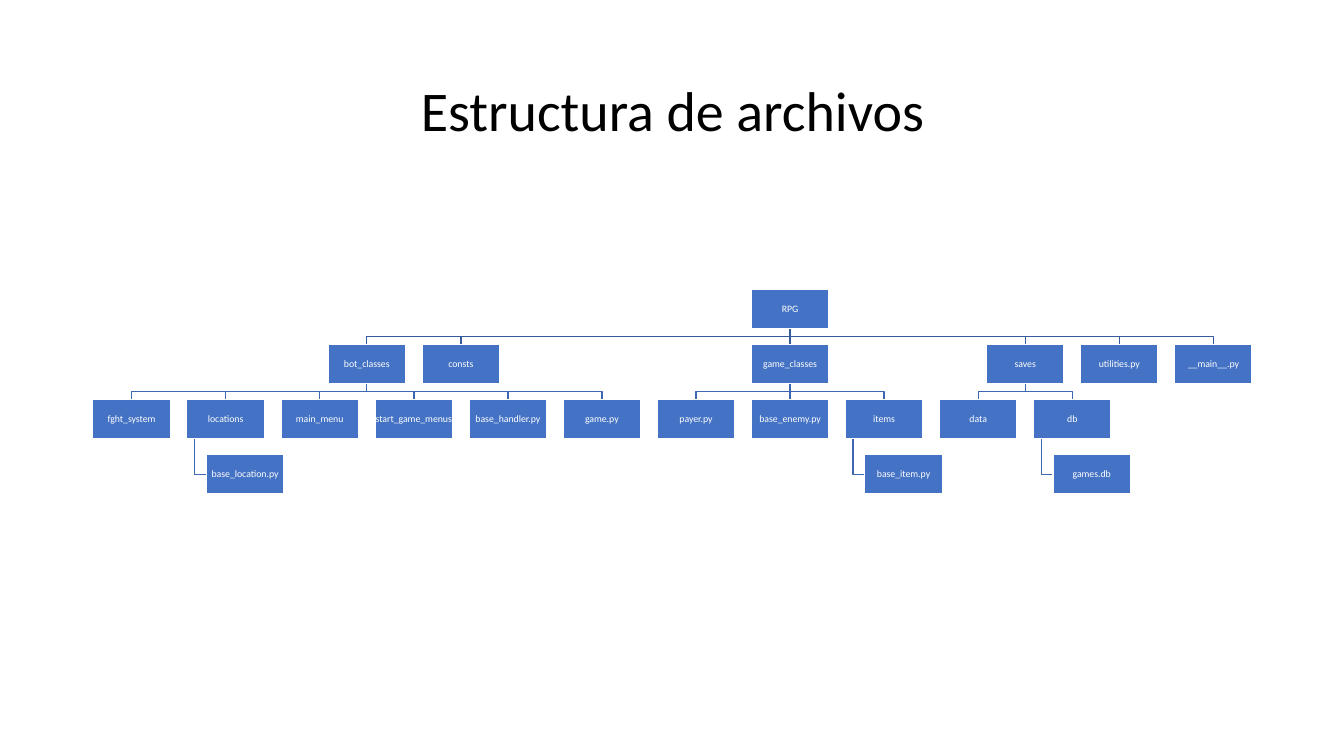
from collections import namedtuple

from lxml.etree import SubElement
from pptx import Presentation
from pptx.dml.color import RGBColor
from pptx.enum.shapes import MSO_CONNECTOR, MSO_SHAPE
from pptx.enum.text import MSO_ANCHOR, PP_ALIGN
from pptx.oxml.ns import qn
from pptx.util import Inches, Pt

Box = namedtuple("Box", "left top width height")
Node = namedtuple("Node", "name parent level column")

FONT = "Calibri"
NODE_WIDTH, NODE_HEIGHT = 0.77, 0.39
LAST_COLUMN, LAST_LEVEL = 11.5, 3
HANG_INDENT, HOOK_INDENT = 0.25 * NODE_WIDTH, 0.1 * NODE_WIDTH
LINK_COLORS = {1: "365B9D", 2: "3E67B2", 3: "3E67B2"}

FILES = [
    Node("RPG", None, 0, 7),
    Node("bot_classes", "RPG", 1, 2.5),
    Node("consts", "RPG", 1, 3.5),
    Node("game_classes", "RPG", 1, 7),
    Node("saves", "RPG", 1, 9.5),
    Node("utilities.py", "RPG", 1, 10.5),
    Node("__main__.py", "RPG", 1, 11.5),
    Node("fght_system", "bot_classes", 2, 0),
    Node("locations", "bot_classes", 2, 1),
    Node("main_menu", "bot_classes", 2, 2),
    Node("start_game_menus", "bot_classes", 2, 3),
    Node("base_handler.py", "bot_classes", 2, 4),
    Node("game.py", "bot_classes", 2, 5),
    Node("payer.py", "game_classes", 2, 6),
    Node("base_enemy.py", "game_classes", 2, 7),
    Node("items", "game_classes", 2, 8),
    Node("data", "saves", 2, 9),
    Node("db", "saves", 2, 10),
    Node("base_location.py", "locations", 3, 1),
    Node("base_item.py", "items", 3, 8),
    Node("games.db", "db", 3, 10),
]


def color(value):
    return RGBColor.from_string(value)


def write_text(shape, text, size, value):
    frame = shape.text_frame
    frame.text = text
    frame.vertical_anchor = MSO_ANCHOR.MIDDLE
    para = frame.paragraphs[0]
    para.alignment = PP_ALIGN.CENTER
    para.line_spacing = 0.9
    for span in para.runs:
        span.font.name = FONT
        span.font.size = Pt(size)
        span.font.color.rgb = color(value)


def add_title(page, box, text):
    title = page.shapes.add_textbox(*map(Inches, box))
    title.text_frame.word_wrap = True
    write_text(title, text, 40, "000000")


def add_node(page, box, name):
    shape = page.shapes.add_shape(MSO_SHAPE.RECTANGLE, *map(Inches, box))
    shape.shadow.inherit = False
    shape.fill.solid()
    shape.fill.fore_color.rgb = color("4472C4")
    shape.line.color.rgb = color("FFFFFF")
    shape.line.width = Pt(1)
    frame = shape.text_frame
    frame.margin_left = frame.margin_right = 0
    frame.margin_top = frame.margin_bottom = 0
    frame.word_wrap = False
    write_text(shape, name, 7, "FFFFFF")
    return shape


def add_bent_link(page, points):
    corners = [(Inches(x), Inches(y)) for x, y in points]
    builder = page.shapes.build_freeform(*corners[0])
    builder.add_line_segments(corners[1:], close=False)
    link = builder.convert_to_shape()
    link.shadow.inherit = False
    link.fill.background()
    return link


def add_straight_link(page, start, end):
    link = page.shapes.add_connector(MSO_CONNECTOR.STRAIGHT, *map(Inches, start + end))
    SubElement(link._element.spPr, qn("a:effectLst"))
    return link


def add_link(page, parent, child, level):
    bottom = parent.top + parent.height
    middle = parent.left + parent.width / 2
    target = child.left + child.width / 2
    straight = level < LAST_LEVEL and middle == target
    if straight:
        link = add_straight_link(page, (middle, bottom), (target, child.top))
    elif level == LAST_LEVEL:
        hook = parent.left + HOOK_INDENT
        side = child.top + child.height / 2
        link = add_bent_link(page, [(hook, bottom), (hook, side), (child.left, side)])
    else:
        bend = (bottom + child.top) / 2
        link = add_bent_link(
            page, [(middle, bottom), (middle, bend), (target, bend), (target, child.top)]
        )
    link.line.color.rgb = color(LINK_COLORS[level])
    link.line.width = Pt(1)
    return link if straight else None


def add_file_tree(page, box, files):
    column_step = (box.width - NODE_WIDTH) / LAST_COLUMN
    level_step = (box.height - NODE_HEIGHT) / LAST_LEVEL
    places = {}
    for node in files:
        indent = HANG_INDENT if node.level == LAST_LEVEL else 0
        places[node.name] = Box(
            box.left + node.column * column_step + indent,
            box.top + node.level * level_step,
            NODE_WIDTH,
            NODE_HEIGHT,
        )

    straight_links = []
    for node in files:
        if node.parent:
            link = add_link(page, places[node.parent], places[node.name], node.level)
            if link is not None:
                straight_links.append((link, node))

    shapes = {node.name: add_node(page, places[node.name], node.name) for node in files}
    for link, node in straight_links:
        link.begin_connect(shapes[node.parent], 2)
        link.end_connect(shapes[node.name], 0)


def main():
    deck = Presentation()
    deck.slide_width = Inches(13.33)
    deck.slide_height = Inches(7.5)
    page = deck.slides.add_slide(deck.slide_layouts[6])
    add_title(page, Box(0.92, 0.4, 11.5, 1.45), "Estructura de archivos")
    add_file_tree(page, Box(0.92, 2.87, 11.5, 2.03), FILES)
    deck.save("out.pptx")


if __name__ == "__main__":
    main()
